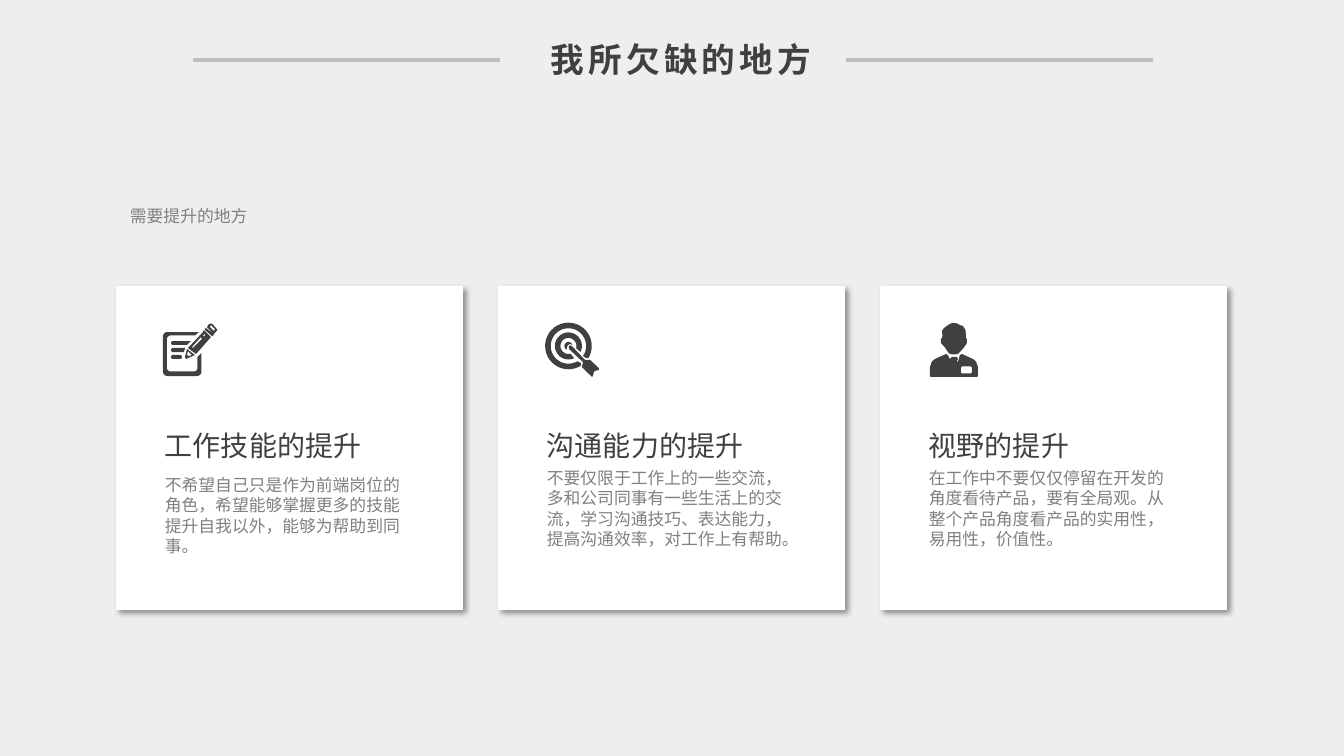
from dataclasses import dataclass
from math import cos, radians, sin

from lxml import etree
from pptx import Presentation
from pptx.dml.color import RGBColor
from pptx.enum.shapes import MSO_CONNECTOR, MSO_SHAPE
from pptx.enum.text import MSO_AUTO_SIZE, PP_ALIGN
from pptx.oxml.ns import qn
from pptx.util import Pt

PX = 914400 / 100.8
FINE = 10
RECTANGLE = MSO_SHAPE.RECTANGLE
STRAIGHT = MSO_CONNECTOR.STRAIGHT
GROW = MSO_AUTO_SIZE.SHAPE_TO_FIT_TEXT
LEFT, CENTER = PP_ALIGN.LEFT, PP_ALIGN.CENTER
Contour = list[tuple[float, float]]


@dataclass(frozen=True)
class Theme:
    """Colours, fonts and type sizes of the slide."""
    background: str = "EEEEEE"
    card: str = "FFFFFF"
    dark: str = "404040"
    muted: str = "808080"
    rule: str = "BFBFBF"
    heading_font: str = "Noto Sans CJK SC"
    body_font: str = "Arial"
    title_size: int = 24
    heading_size: int = 20
    body_size: int = 12


THEME = Theme()


@dataclass(frozen=True)
class Style:
    """Look of one text box."""
    font: str
    size: int
    color: str
    bold: bool = False
    spacing: int = 0
    align: PP_ALIGN = LEFT


TITLE = Style(THEME.heading_font, THEME.title_size, THEME.dark, True, 300, CENTER)
HEADING = Style(THEME.heading_font, THEME.heading_size, THEME.dark)
BODY = Style(THEME.body_font, THEME.body_size, THEME.muted)


@dataclass(frozen=True)
class Card:
    """One white card with an icon, a heading and a text."""
    heading: str
    body: str
    icon: list[Contour]
    icon_left: int
    heading_height: int = 44
    body_top: int = 463


def arc(x: float, y: float, radius: float, start: int, end: int) -> Contour:
    """Return points along a circle between two angles in degrees."""
    steps = max(4, abs(end - start) // 6)
    angles = [radians(start + (end - start) * i / steps) for i in range(steps + 1)]
    return [(x + radius * cos(angle), y + radius * sin(angle)) for angle in angles]


def rounded(left: float, top: float, right: float, bottom: float, radius: float) -> Contour:
    """Return the outline of a rounded rectangle."""
    near, far = left + radius, right - radius
    high, low = top + radius, bottom - radius
    return (arc(near, high, radius, 180, 270) + arc(far, high, radius, 270, 360)
            + arc(far, low, radius, 0, 90) + arc(near, low, radius, 90, 180))


NOTE_ICON: list[Contour] = [
    [(36, 9), (32, 12.5), *arc(7.5, 16, 3.5, 270, 180), *arc(7.5, 45, 3.5, 180, 90),
     *arc(31, 45, 3.5, 90, 0), (34.5, 34), (38.5, 30), *arc(34, 48.5, 4.5, 0, 90),
     *arc(4.5, 48.5, 4.5, 90, 180), *arc(4.5, 13.5, 4.5, 180, 270)],
    rounded(8, 32, 19, 36, 2),
    [*arc(10, 27, 2, 90, 270), (22, 25), (21, 29)],
    [*arc(10, 20, 2, 90, 270), (28, 18), (24, 22)],
    [(24, 26), (32, 32), (23, 36), (22, 34)],
    [(25, 28), (24, 32), (26, 33), (29, 32)],
    [(41, 7), (48, 14), (34, 30), (33, 31), (25, 25), (26, 24), (40, 9)],
    [(38, 14), (29, 24), (30, 25), (39, 16)],
    [(41.5, 11), (40, 12.5), (41, 13.5), (42.5, 12)],
    [(43, 5), (51, 11), (50, 13), (49, 13), (42, 7), (42, 6)],
    [(48, 0.5), (49.5, 1), (53, 5), (54.5, 7), (51, 11), (44, 4), (46, 1)],
    [(48, 2), (47, 4), (51, 8), (52, 6)],
]
TARGET_ICON: list[Contour] = [
    [*arc(23.5, 23, 23.3, 58, 392), (41, 35), (38, 33),
     *arc(23.5, 23, 17.7, 390, 60), (36, 40)],
    [*arc(23.5, 23, 13.5, 65, 387), *arc(23.5, 23, 8, 375, 75)],
    [*arc(23.5, 23, 4, 120, 345), (25, 21), (23, 22), (22, 24), (22, 26)],
    [(25, 22.5), (27, 23), (40, 37), (45, 37), (46, 37.5), (54, 45.5), (54, 47),
     (50, 48), (49, 49), (48, 53), (47, 54), (46, 53), (38, 45), (37, 44),
     (38, 39), (24, 26), (24, 23)],
]
PERSON_ICON: list[Contour] = [
    [(16, 31), (18, 32), (21, 39), (21, 38), (20, 36), (22, 34), (27, 34), (28, 36),
     (27, 38), (28, 39), (30, 32), (32, 31), (43, 36), (46, 38.5), (48, 44),
     (48, 53), (47, 54), (1, 54), (0, 53), (0, 44), (2, 38.5), (5, 36)],
    rounded(31, 43.5, 42, 50.5, 1.5),
    [*arc(24, 9, 9, 230, 310), (33, 3), (35.5, 7), (36, 12), (36, 15), (37, 16),
     (37, 20), (34, 24.5), (30, 29), (28, 31), (24, 31.5), (20, 31), (18, 29),
     (15, 24.5), (11, 20), (11, 16), (12, 15), (12.5, 13), (12, 8), (14, 5)],
]
CARDS = [
    Card("工作技能的提升",
         "不希望自己只是作为前端岗位的角色，希望能够掌握更多的技能提升自我以外，能够为帮助到同事。",
         NOTE_ICON, 163, body_top=470),
    Card("沟通能力的提升",
         "不要仅限于工作上的一些交流，多和公司同事有一些生活上的交流，学习沟通技巧、表达能力，提高沟通效率，对工作上有帮助。",
         TARGET_ICON, 545, heading_height=34),
    Card("视野的提升",
         "在工作中不要仅仅停留在开发的角度看待产品，要有全局观。从整个产品角度看产品的实用性，易用性，价值性。",
         PERSON_ICON, 930),
]


def emu(*lengths: int) -> list[int]:
    """Turn px lengths into EMU."""
    return [round(length * PX) for length in lengths]


def add_text(page, text: str, left: int, top: int, width: int, height: int, style: Style) -> None:
    """Add a wrapped text box of one paragraph."""
    frame = page.shapes.add_textbox(*emu(left, top, width, height)).text_frame
    frame.word_wrap = True
    frame.auto_size = GROW
    para = frame.paragraphs[0]
    para.alignment = style.align
    span = para.add_run()
    span.text = text
    font = span.font
    font.name, font.size, font.bold = style.font, Pt(style.size), style.bold
    font.color.rgb = RGBColor.from_string(style.color)
    properties = span._r.get_or_add_rPr()
    etree.SubElement(properties, qn("a:ea")).set("typeface", style.font)
    if style.spacing:
        properties.set("spc", str(style.spacing))


def paint(shape, color: str) -> None:
    """Fill a shape plainly, without outline or inherited shadow."""
    shape.shadow.inherit = False
    shape.fill.solid()
    shape.fill.fore_color.rgb = RGBColor.from_string(color)
    shape.line.fill.background()


def add_icon(page, contours: list[Contour], left: int, top: int) -> None:
    """Draw the contours of an icon as one freeform."""
    points = [[(round((left + x) * FINE), round((top + y) * FINE)) for x, y in contour]
              for contour in contours]
    builder = page.shapes.build_freeform(*points[0][0], scale=PX / FINE)
    for contour in points:
        builder.move_to(*contour[0])
        builder.add_line_segments(contour[1:], close=True)
    paint(builder.convert_to_shape(), THEME.dark)


def add_card(page, card: Card, left: int) -> None:
    """Draw one card with its soft shadow and contents."""
    box = page.shapes.add_shape(RECTANGLE, *emu(left, 286, 347, 324))
    paint(box, THEME.card)
    effects = box._element.spPr.find(qn("a:effectLst"))
    shadow = etree.SubElement(effects, qn("a:outerShdw"), blurRad=str(Pt(4)),
                              dist=str(Pt(3)), dir="2700000", algn="tl", rotWithShape="0")
    color = etree.SubElement(shadow, qn("a:srgbClr"), val="000000")
    etree.SubElement(color, qn("a:alpha"), val="40000")
    add_icon(page, card.icon, card.icon_left, 323)
    add_text(page, card.heading, left + 39, 424, 269, card.heading_height, HEADING)
    add_text(page, card.body, left + 39, card.body_top, 269, 92, BODY)


def add_rule(page, start: int, end: int) -> None:
    """Draw a grey rule beside the title."""
    rule = page.shapes.add_connector(STRAIGHT, *emu(start, 60, end, 60))
    rule.line.color.rgb = RGBColor.from_string(THEME.rule)
    rule.line.width = Pt(3)
    etree.SubElement(rule._element.spPr, qn("a:effectLst"))


def main() -> None:
    """Build and save the slide."""
    deck = Presentation()
    deck.slide_width, deck.slide_height = emu(1344, 756)
    page = deck.slides.add_slide(deck.slide_layouts[6])
    page.background.fill.solid()
    page.background.fill.fore_color.rgb = RGBColor.from_string(THEME.background)
    for index, card in enumerate(CARDS):
        add_card(page, card, 116 + 382 * index)
    add_text(page, "需要提升的地方", 120, 201, 1107, 30, BODY)
    add_rule(page, 193, 500)
    add_text(page, "我所欠缺的地方", 506, 34, 350, 50, TITLE)
    add_rule(page, 846, 1153)
    deck.save("out.pptx")


if __name__ == "__main__":
    main()
